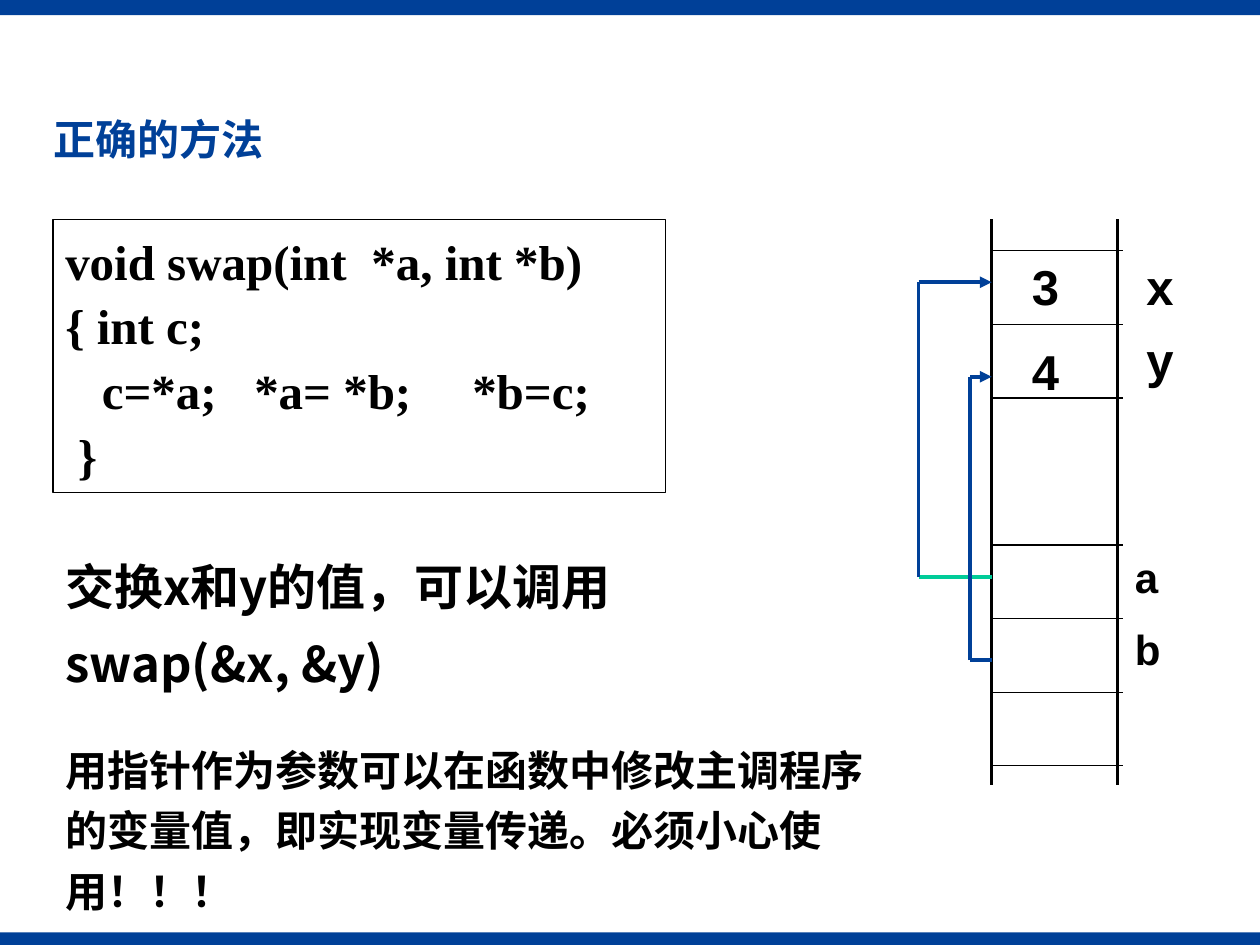
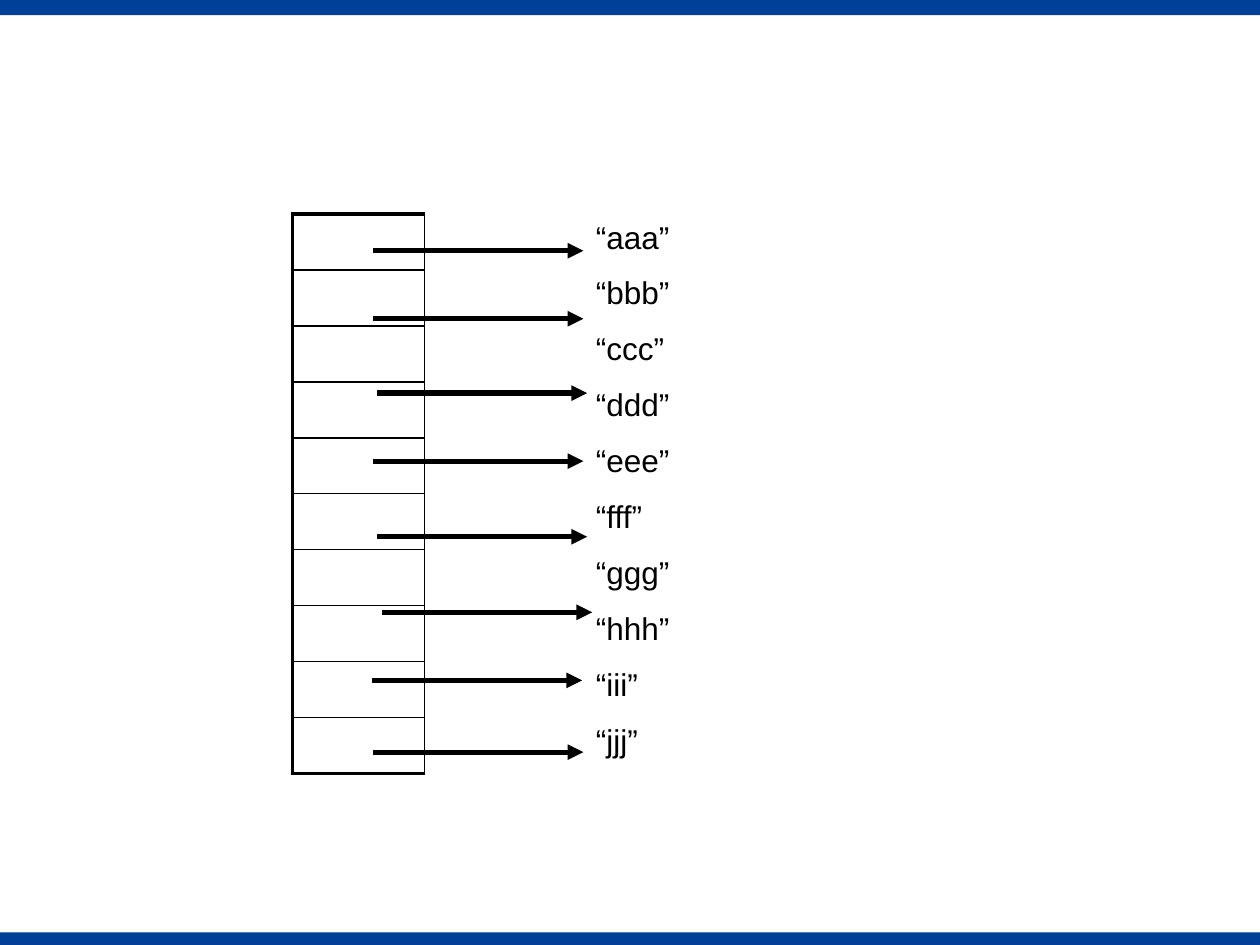
from lxml import etree
from pptx import Presentation
from pptx import util as u
from pptx.dml.color import RGBColor
from pptx.enum import shapes, text
from pptx.oxml import ns

BLUE = RGBColor(0x00, 0x40, 0x98)
GREEN = RGBColor(0x00, 0xCC, 0x99)
BLACK = RGBColor(0x00, 0x00, 0x00)
SANS, SERIF, CJK = "Arial", "Times New Roman", "Noto Sans CJK SC"

COLS, ROWS = 100, 75  # grid that covers the slide


def sub(parent, tag, **attrs):
    return etree.SubElement(parent, ns.qn(tag), attrs)


def write(tf, content, size=18, font=SANS, color=BLACK, bold=False,
          leading=None, before=0, tabs=None):
    """Fill a text frame, one paragraph per line.

    tabs maps a line number to its tab stops in inches.
    """
    for i, line in enumerate(content.split("\n")):
        p = tf.paragraphs[0] if i == 0 else tf.add_paragraph()
        p.alignment = text.PP_ALIGN.LEFT
        if leading:
            p.line_spacing = leading
        if i and before:
            p.space_before = u.Pt(before)
        if tabs and i in tabs:
            stops = sub(p._p.get_or_add_pPr(), "a:tabLst")
            for pos in tabs[i]:
                sub(stops, "a:tab", pos=str(u.Inches(pos)), algn="l")
        r = p.add_run()
        r.text = line
        r.font.name, r.font.size, r.font.bold = font, u.Pt(size), bold
        r.font.color.rgb = color
        sub(r._r.get_or_add_rPr(), "a:ea", typeface=CJK)


class Deck:
    def __init__(self):
        self.prs = Presentation()
        self.prs.slide_width, self.prs.slide_height = u.Inches(10), u.Inches(7.5)
        self.s = None

    def x(self, col):
        return round(self.prs.slide_width * col / COLS)

    def y(self, row):
        return round(self.prs.slide_height * row / ROWS)

    def area(self, col, row, width, height):
        return self.x(col), self.y(row), self.x(width), self.y(height)

    def new_slide(self):
        self.s = self.prs.slides.add_slide(self.prs.slide_layouts[6])
        self.box(0, 74, COLS, 1, fill=BLUE)
        self.box(0, 0, COLS, 1.2, fill=BLUE)

    def box(self, *place, fill=None, line=None):
        sp = self.s.shapes.add_shape(shapes.MSO_SHAPE.RECTANGLE, *self.area(*place))
        sp.shadow.inherit = False
        if fill is None:
            sp.fill.background()
        else:
            sp.fill.solid()
            sp.fill.fore_color.rgb = fill
        if line is None:
            sp.line.fill.background()
        else:
            sp.line.color.rgb, sp.line.width = line, u.Pt(0.75)
        sp.text_frame.vertical_anchor = text.MSO_ANCHOR.TOP
        sp.text_frame.word_wrap = True
        return sp

    def label(self, content, *place, indent=0.1, **style):
        tf = self.s.shapes.add_textbox(*self.area(*place)).text_frame
        tf.word_wrap = True
        tf.margin_left = u.Inches(indent)
        write(tf, content, **style)

    def title(self, content):
        self.label(content, 3.3, 9, 85, 12.5, size=24, font=CJK, color=BLUE,
                   bold=True, leading=0.9)

    def line(self, start, end, color=BLACK, width=0.75, arrow=False):
        c = self.s.shapes.add_connector(
            shapes.MSO_CONNECTOR.STRAIGHT, self.x(start[0]), self.y(start[1]),
            self.x(end[0]), self.y(end[1]))
        c.line.color.rgb, c.line.width = color, u.Pt(width)
        if arrow:
            sub(c.line._get_or_add_ln(), "a:tailEnd", type="triangle")
        sub(c._element.spPr, "a:effectLst")

    def pointer(self, source, target, right, bend, first=BLUE):
        """Bent arrow that leaves and re-enters the memory column on its left."""
        self.line((right, source), (bend, source), first, 2.25)
        self.line((bend, source), (bend, target), BLUE, 2.25)
        self.line((bend, target), (right, target), BLUE, 2.25, arrow=True)

    def table(self, col, row, widths, row_height, count):
        table = self.s.shapes.add_table(count, len(widths), *self.area(
            col, row, sum(widths), row_height * count)).table
        table.first_row = table.horz_banding = False
        for column, width in zip(table.columns, widths):
            column.width = self.x(width)
        for tr in table.rows:
            tr.height = self.y(row_height)
            for cell in tr.cells:
                cell.fill.background()
        return table


def borders(cell, **widths):
    """Draw the black cell edges among L, R, T and B; clear the others."""
    tc_pr = cell._tc.get_or_add_tcPr()
    for i, edge in enumerate("LRTB"):
        width = widths.get(edge, 0)
        ln = etree.Element(ns.qn(f"a:ln{edge}"), w=str(u.Pt(width)))
        if width:
            sub(sub(ln, "a:solidFill"), "a:srgbClr", val=str(BLACK))
        else:
            sub(ln, "a:noFill")
        tc_pr.insert(i, ln)


def swap_slide(d):
    d.new_slide()

    # Code
    code = d.box(4.2, 17.4, 48.6, 21.7, line=BLACK)
    write(code.text_frame,
          "void swap(int\t*a, int *b)\n{ int c;\n\tc=*a;\t*a= *b;\t*b=c;\n\t}",
          size=28, font=SERIF, bold=True, leading=1.1,
          tabs={0: [2.43], 2: [0.29, 1.5, 3.23], 3: [0.1]})

    # Memory column
    left, right, top, cell = 78.7, 88.7, 19.9, 5.84
    for col in (left, right):
        d.line((col, 17.4), (col, 62.3), width=2)
    for i in (0, 1, 2, 4, 5, 6, 7):
        d.line((left, top + i * cell), (89.1, top + i * cell))

    # Pointers from a to x and from b to y
    d.pointer(45.8, 22.4, left, 72.9, first=GREEN)
    d.pointer(52.4, 29.9, left, 77)

    # Values and variable names
    for value, row in (("3", top), ("4", 26.6)):
        d.label(value, left, row, 10, 5.7, indent=0.32, size=28, bold=True)
    d.label("x\ny", 90, top, 4.9, 11.8, size=28, bold=True, before=8)
    d.label("a\nb", 89.1, 43.3, 4, 11, size=24, bold=True, before=12)

    # Explanation
    d.label("交换x和y的值，可以调用swap(&x, &y)", 4.2, 42.3, 55.8, 13.2,
            size=28, font=CJK, bold=True, leading=1.3)
    d.label("用指针作为参数可以在函数中修改主调程序的变量值，即实现变量传递。必须小心使用！！！",
            4.2, 57.8, 66, 15.4, size=24, bold=True, leading=1.2)
    d.title("正确的方法")


def string_array_slide(d):
    d.new_slide()

    # Pointer array and its strings
    letters = "abcdefghij"
    last = len(letters) - 1
    table = d.table(23.2, 17, (10.5, 12.6, 17.1), 4.44, len(letters))
    for i, letter in enumerate(letters):
        pointer, gap, string = table.rows[i].cells
        borders(pointer, L=2.25, R=1, T=1 if i else 2.25,
                B=2.25 if i == last else 1)
        borders(gap, L=1)
        borders(string)
        write(string.text_frame, f"“{letter * 3}”")

    # Arrows
    for col, row in ((29.6, 19.9), (29.6, 25.3), (29.9, 31.2), (29.6, 36.6),
                     (29.9, 42.6), (30.3, 48.6), (29.5, 54), (29.6, 59.7)):
        d.line((col, row), (col + 16.7, row), width=3, arrow=True)


def main():
    d = Deck()
    swap_slide(d)
    string_array_slide(d)
    d.prs.save("out.pptx")


if __name__ == "__main__":
    main()
